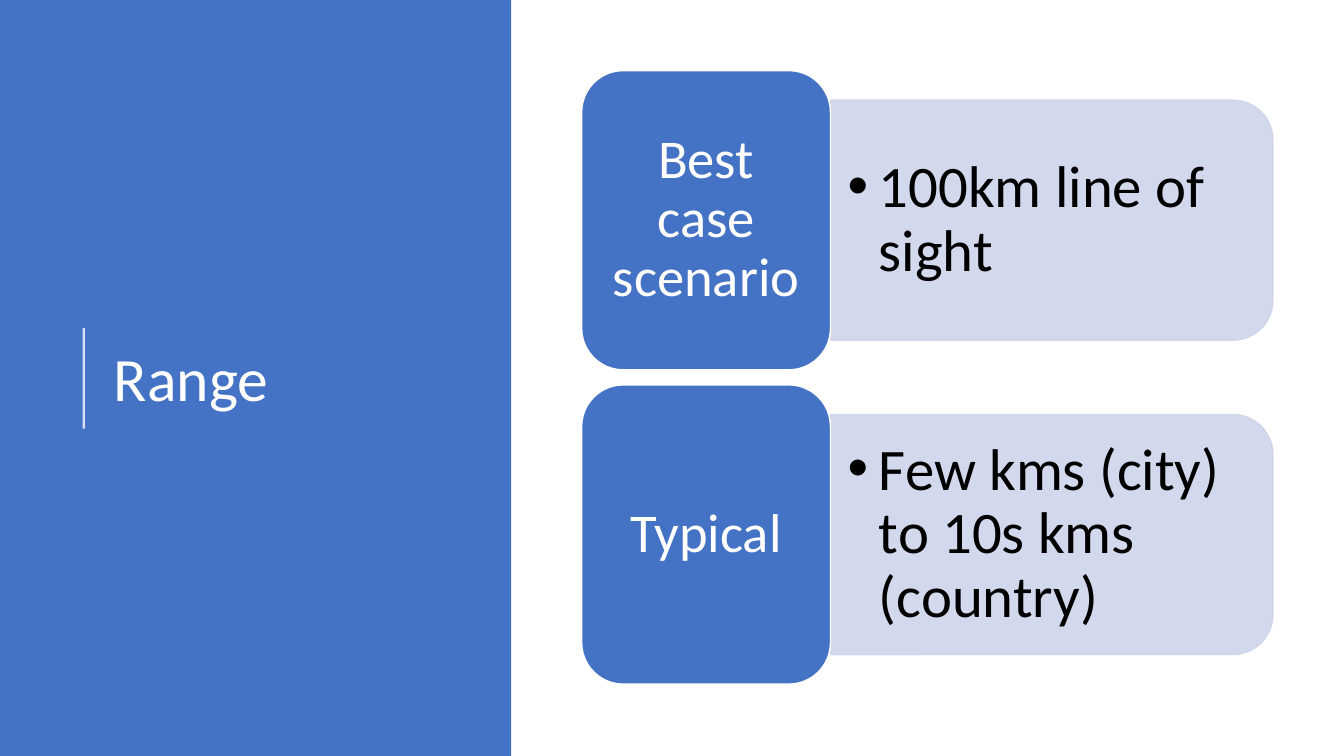
"""Build the slide on best-case and typical range."""
import dataclasses

import pptx
import pptx.dml.color
import pptx.enum.shapes
import pptx.enum.text
import pptx.oxml
import pptx.oxml.ns
import pptx.util

Cm = pptx.util.Cm
Pt = pptx.util.Pt
Shape = pptx.enum.shapes.MSO_SHAPE
Align = pptx.enum.text.PP_ALIGN
NAMESPACE = pptx.oxml.ns.nsdecls("a")


@dataclasses.dataclass(frozen=True)
class Theme:
    """Colours, font and type sizes in one place."""

    font: str = "Calibri"
    blue: str = "4472C4"
    pale: str = "CFD5EA"
    white: str = "FFFFFF"
    black: str = "000000"
    title_size: int = 44
    label_size: int = 39
    detail_size: int = 42


class Page:
    """Draw styled elements on one slide."""

    def __init__(self, slide, theme):
        self.shapes = slide.shapes
        self.theme = theme

    def paint(self, color_format, color, opacity=100):
        """Set a colour and, where asked, its opacity in percent."""
        color_format.rgb = pptx.dml.color.RGBColor.from_string(color)
        if opacity < 100:
            alpha = f'<a:alpha {NAMESPACE} val="{opacity * 1000}"/>'
            for node in color_format._xFill.iter(pptx.oxml.ns.qn("a:srgbClr")):
                node.append(pptx.oxml.parse_xml(alpha))

    def block(self, kind, left, top, width, height, fill, line=None, opacity=100, rotation=0):
        """Add a filled preset shape, outlined if a line colour is given."""
        box = self.shapes.add_shape(kind, Cm(left), Cm(top), Cm(width), Cm(height))
        box.shadow.inherit = False
        box.rotation = rotation
        box.fill.solid()
        self.paint(box.fill.fore_color, fill, opacity)
        if line:
            box.line.width = Pt(1)
            box.line.fill.solid()
            self.paint(box.line.fill.fore_color, line, opacity)
        else:
            box.line.fill.background()
        return box

    def rule(self, x, top, bottom):
        """Add a thin translucent white vertical line."""
        line = self.shapes.add_connector(
            pptx.enum.shapes.MSO_CONNECTOR.STRAIGHT, Cm(x), Cm(bottom), Cm(x), Cm(top))
        line.line.width = Pt(1.5)
        line.line.fill.solid()
        self.paint(line.line.fill.fore_color, self.theme.white, 80)
        line._element.spPr.append(pptx.oxml.parse_xml(f"<a:effectLst {NAMESPACE}/>"))

    def letter(self, box, text, size, color, align=Align.LEFT, inset=(0.25, 0.13), bullet=False):
        """Put one paragraph, vertically centred, into a box."""
        frame = box.text_frame
        frame.word_wrap = True
        frame.vertical_anchor = pptx.enum.text.MSO_ANCHOR.MIDDLE
        frame.margin_left = frame.margin_right = Cm(inset[0])
        frame.margin_top = frame.margin_bottom = Cm(inset[1])
        para = frame.paragraphs[0]
        para.alignment = align
        para.line_spacing = 0.9
        if bullet:
            properties = para._p.get_or_add_pPr()
            properties.set("marL", str(Cm(0.79)))
            properties.set("indent", str(-Cm(0.79)))
            for mark in ('buFont {} typeface="Arial"', 'buChar {} char="•"'):
                properties.append(pptx.oxml.parse_xml(f"<a:{mark.format(NAMESPACE)}/>"))
        span = para.add_run()
        span.text = text
        span.font.name = self.theme.font
        span.font.size = Pt(size)
        self.paint(span.font.color, color)

    def text(self, left, top, width, height, text, size, color, **style):
        """Add a text box."""
        box = self.shapes.add_textbox(Cm(left), Cm(top), Cm(width), Cm(height))
        self.letter(box, text, size, color, **style)

    def row(self, top, label, detail):
        """Add a label tile with a detail bar centred on its right side."""
        theme = self.theme
        left, tile_width, tile_height = 14.66, 6.27, 7.54
        bar_left, bar_width, bar_height = left + tile_width, 11.15, 6.05
        bar_top = top + (tile_height - bar_height) / 2
        turn = (bar_width - bar_height) / 2
        self.block(Shape.ROUND_2_SAME_RECTANGLE, bar_left + turn, bar_top - turn,
                   bar_height, bar_width, theme.pale, theme.pale, 90, 90)
        self.text(bar_left, bar_top + 0.3, bar_width - 0.3, bar_height - 0.6, detail,
                  theme.detail_size, theme.black, inset=(0.43, 0.23), bullet=True)
        tile = self.block(Shape.ROUNDED_RECTANGLE, left, top, tile_width, tile_height,
                          theme.blue, theme.white)
        self.letter(tile, label, theme.label_size, theme.white, Align.CENTER, (0.41, 0.2))


def main():
    """Build and save the deck."""
    theme = Theme()
    deck = pptx.Presentation()
    deck.slide_width, deck.slide_height = Cm(33.87), Cm(19.05)
    page = Page(deck.slides.add_slide(deck.slide_layouts[6]), theme)
    page.block(Shape.RECTANGLE, 0, 0, 12.88, 19.05, theme.blue)
    page.rule(2.11, 8.26, 10.8)
    page.text(2.62, 1.98, 9.37, 15.29, "Range", theme.title_size, theme.white)
    rows = (("Best case scenario", "100km line of sight"),
            ("Typical", "Few kms (city) to 10s kms (country)"))
    for index, (label, detail) in enumerate(rows):
        page.row(1.78 + 7.92 * index, label, detail)
    deck.save("out.pptx")


if __name__ == "__main__":
    main()
